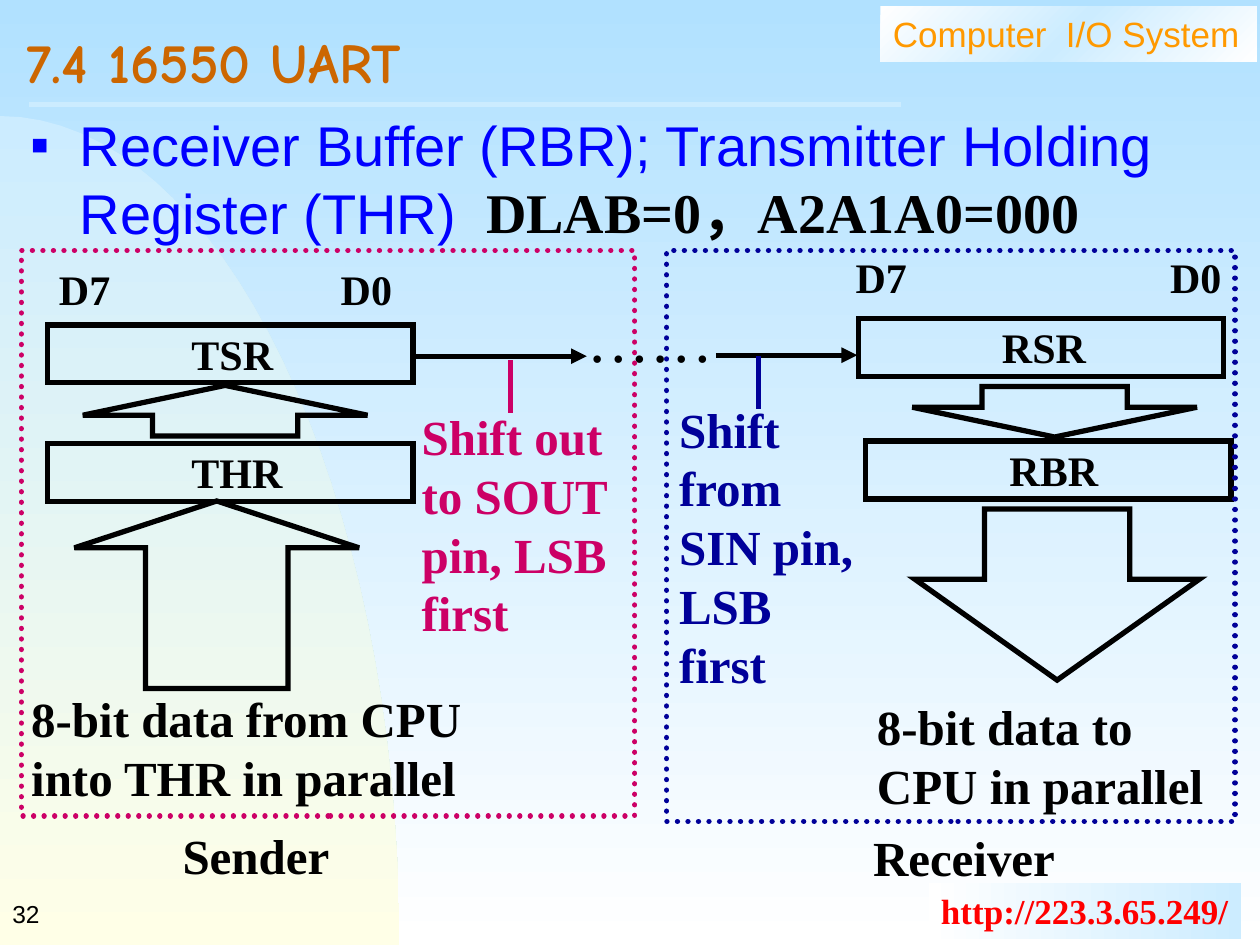
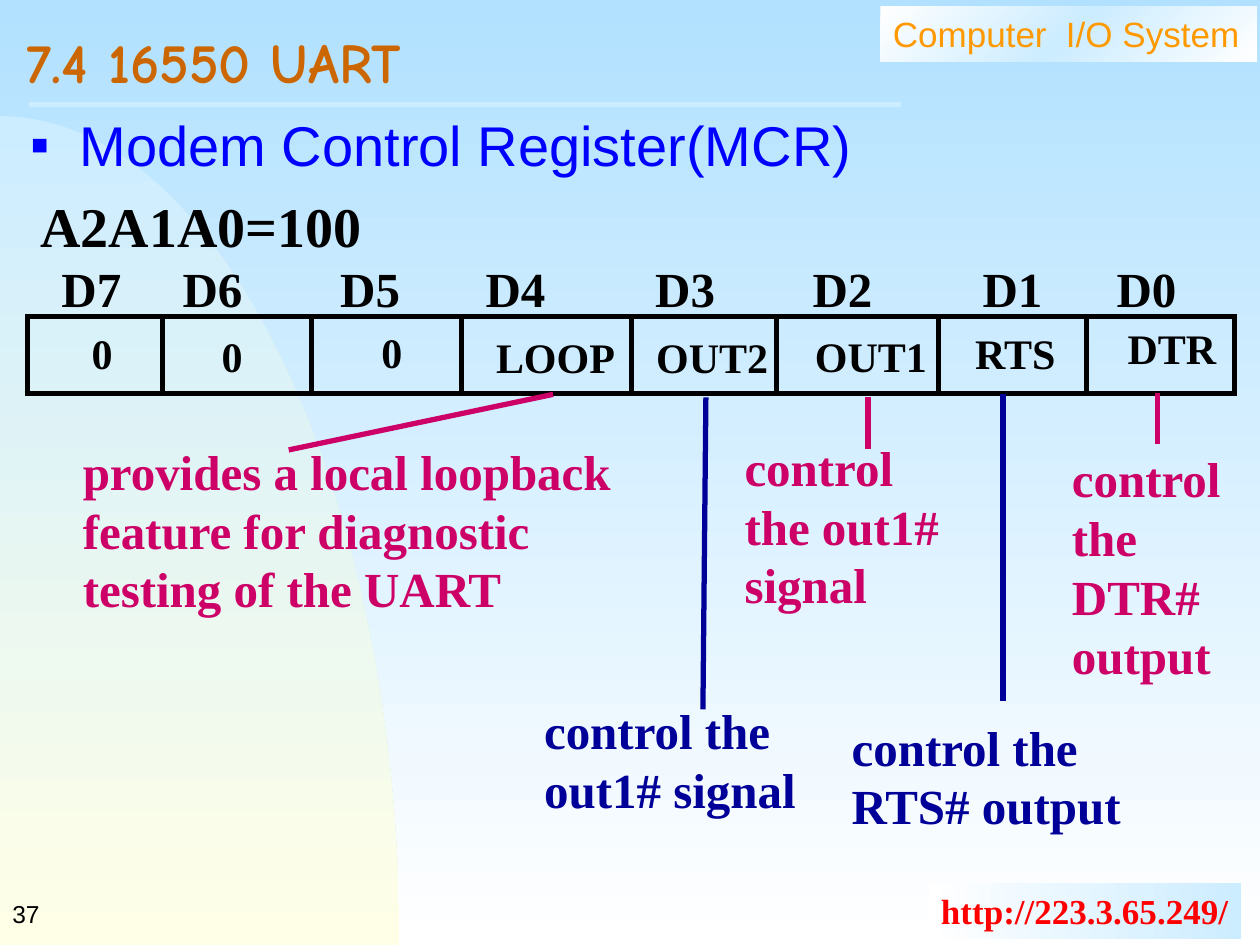
from copy import deepcopy
from dataclasses import dataclass
from typing import Any

from lxml.etree import SubElement
from pptx import Presentation
from pptx.dml.color import RGBColor
from pptx.enum.dml import MSO_LINE
from pptx.enum.shapes import MSO_CONNECTOR, MSO_SHAPE
from pptx.enum.text import MSO_ANCHOR, MSO_AUTO_SIZE, PP_ALIGN
from pptx.oxml.ns import qn
from pptx.util import Cm, Pt

BLACK = RGBColor(0x00, 0x00, 0x00)
WHITE = RGBColor(0xFF, 0xFF, 0xFF)
SKY = RGBColor(0xB1, 0xE1, 0xFF)
ICE = RGBColor(0xCC, 0xEC, 0xFF)
CREAM = RGBColor(0xFF, 0xFF, 0xE7)
RUST = RGBColor(0xCC, 0x66, 0x00)
ORANGE = RGBColor(0xFF, 0x99, 0x00)
RED = RGBColor(0xFF, 0x00, 0x00)
BLUE = RGBColor(0x00, 0x00, 0xFF)
PINK = RGBColor(0xCC, 0x00, 0x66)
NAVY = RGBColor(0x00, 0x00, 0x99)
SANS, SERIF, COMIC = "Arial", "Times New Roman", "Comic Neue"
WIDE, HIGH = 25.4, 19.05
SLIM, BROAD = (0.51, 0.59), (0.5, 0.25)


def blend(fill, angle, *colors):
    """Fill with a gradient that runs clockwise from the x axis."""
    fill.gradient()
    fill.gradient_angle = (360 - angle) % 360
    first = fill.gradient_stops[0]._gs
    for _ in colors[2:]:
        first.addnext(deepcopy(first))
    for i, (stop, color) in enumerate(zip(fill.gradient_stops, colors)):
        stop.color.rgb = color
        stop.position = i / (len(colors) - 1)


def write(shape, words, size, color=BLACK, face=SERIF, bold=True,
          wrap=True, tabs=(), anchor=MSO_ANCHOR.TOP):
    """Set the text of a shape, with tab stops in cm; return its paragraph."""
    frame = shape.text_frame
    frame.text = words
    frame.word_wrap = wrap
    frame.auto_size = MSO_AUTO_SIZE.NONE
    frame.vertical_anchor = anchor
    para = frame.paragraphs[0]
    if tabs:
        stops = SubElement(para._p.get_or_add_pPr(), qn("a:tabLst"))
        for tab in tabs:
            SubElement(stops, qn("a:tab"), pos=str(Cm(tab)), algn="l")
    para.alignment = PP_ALIGN.LEFT
    for run in para.runs:
        run.font.size = Pt(size)
        run.font.name = face
        run.font.bold = bold
        run.font.color.rgb = color
    return para


def move(shape, x, y, w, h):
    shape.left, shape.top, shape.width, shape.height = map(Cm, (x, y, w, h))


@dataclass
class Area:
    """A box on a slide; its parts are placed in cm from its top left."""
    slide: Any
    left: float
    top: float
    wide: float
    high: float

    def spot(self, x, y):
        return Cm(self.left + x), Cm(self.top + y)

    def text(self, words, x, y, w, h, size, color=BLACK, **style):
        box = self.slide.shapes.add_textbox(*self.spot(x, y), Cm(w), Cm(h))
        write(box, words, size, color, **style)

    def shape(self, kind, x, y, w, h, color=BLACK):
        part = self.slide.shapes.add_shape(kind, *self.spot(x, y), Cm(w), Cm(h))
        part.shadow.inherit = False
        part.fill.background()
        if color is None:
            part.line.fill.background()
        else:
            part.line.color.rgb = color
            part.line.width = Pt(3)
            SubElement(part.line._get_or_add_ln(), qn("a:miter"), lim="800000")
        return part

    def rule(self, x1, y1, x2, y2, color=BLACK, head=False):
        line = self.slide.shapes.add_connector(
            MSO_CONNECTOR.STRAIGHT, *self.spot(x1, y1), *self.spot(x2, y2))
        line.line.color.rgb = color
        line.line.width = Pt(3)
        if head:
            SubElement(line.line._get_or_add_ln(), qn("a:tailEnd"), type="triangle")
        SubElement(line._element.spPr, qn("a:effectLst"))

    def latch(self, name, x, y):
        """Draw a named 8-bit register."""
        self.shape(MSO_SHAPE.RECTANGLE, x, y, 7.37, 1.17)
        self.text(name, x + 2.65, y - 0.06, 2.3, 1.27, 24, wrap=False)

    def arrow(self, x, y, h, ratio, turn=0):
        part = self.shape(MSO_SHAPE.UP_ARROW, x, y, 5.74, h)
        part.adjustments[0], part.adjustments[1] = ratio
        part.rotation = turn

    def border(self, color):
        edge = self.shape(MSO_SHAPE.RECTANGLE, 0, 0, self.wide, self.high, color)
        edge.line.dash_style = MSO_LINE.ROUND_DOT
        edge.line._get_or_add_ln().set("cap", "rnd")


def leaf(page):
    """Draw the curved field at the lower left."""
    wide, top = 8.05, 2.34
    drop = HIGH - top
    points = []
    for i in range(1, 33):
        t = i / 32
        s = 1 - t
        across = 3 * s * s * t * 0.55 + 3 * s * t * t + t ** 3
        down = 3 * s * t * t * 0.45 + t ** 3
        points.append((Cm(across * wide), Cm(top + down * drop)))
    pen = page.slide.shapes.build_freeform(0, Cm(top))
    pen.add_line_segments(points + [(0, Cm(HIGH))], close=True)
    part = pen.convert_to_shape()
    part.shadow.inherit = False
    part.line.fill.background()
    blend(part.fill, 90, ICE, CREAM)


def bullet(para):
    props = para._p.get_or_add_pPr()
    props.set("marL", str(Cm(0.97)))
    props.set("indent", str(-Cm(0.97)))
    SubElement(SubElement(props, qn("a:buClr")), qn("a:srgbClr"), val=str(BLUE))
    SubElement(props, qn("a:buSzPct"), val="50000")
    SubElement(props, qn("a:buFont"), typeface=SANS)
    SubElement(props, qn("a:buChar"), char="■")
    para.space_before = Pt(0)


def start(deck, topic, number):
    """Add a slide with the shared bands, title, topic and number."""
    slide = deck.slides.add_slide(deck.slide_layouts[1])
    page = Area(slide, 0, 0, WIDE, HIGH)
    leaf(page)
    banner = page.shape(MSO_SHAPE.RECTANGLE, 17.75, 0.13, 7.59, 1.12, None)
    blend(banner.fill, 45, WHITE, ICE, WHITE)
    write(banner, "Computer\tI/O System", 20, ORANGE, SANS, False, tabs=[3.49])
    footer = page.shape(MSO_SHAPE.RECTANGLE, 18.72, 17.81, 6.3, 1.12, None)
    blend(footer.fill, 0, WHITE, ICE)
    write(footer, "http://223.3.65.249/", 20, RED, wrap=False)
    page.rule(0.58, 2.1, 18.16, 2.1, ICE)
    page.text(number, 0, 17.78, 5.28, 1.27, 14, face=SANS, bold=False,
              anchor=MSO_ANCHOR.MIDDLE)

    title, body = slide.placeholders
    move(title, 0.28, 0.41, 24.26, 1.96)
    para = write(title, "7.4 16550 UART", 32, RUST, COMIC, anchor=MSO_ANCHOR.MIDDLE)
    para.line_spacing = 0.7
    move(body, 0.38, 2.11, 24.38, 15.8)
    bullet(write(body, topic, 32, BLUE, SANS, False))
    for holder in (body, title):  # keep the bands behind, the diagram in front
        footer._element.addnext(holder._element)
    return page


def sender(area):
    area.text("D7\tD0", 0.51, 0.13, 7.6, 1.27, 24, tabs=[5.68])
    area.latch("TSR", 0.53, 1.5)
    area.arrow(1.24, 2.72, 1.02, SLIM)
    area.latch("THR", 0.53, 3.89)
    area.arrow(1.07, 5.05, 3.78, BROAD)
    area.text("8-bit data from CPU into THR in parallel", -0.05, 8.71, 9.7, 2.64, 28)
    area.rule(7.95, 2.13, 11.4, 2.13, head=True)
    area.text("……", 11.15, 0.86, 3.05, 1.78, 36, bold=False, wrap=False)
    area.rule(9.86, 2.21, 9.86, 3.28, PINK)
    area.text("Shift out to SOUT pin, LSB first", 7.82, 3.02, 4.6, 5, 28, PINK)
    area.border(PINK)
    area.text("Sender", 3, 11.46, 4.06, 1.45, 28)


def taker(area):
    """Draw the receiving side."""
    area.text("D7\tD0", 3.56, -0.1, 8.3, 1.27, 24, tabs=[6.34])
    area.rule(0.99, 2.11, 3.84, 2.11, head=True)
    area.latch("RSR", 3.86, 1.37)
    area.arrow(4.95, 2.74, 1.02, SLIM, 180)
    area.latch("RBR", 4.01, 3.84)
    area.arrow(5, 5.21, 3.45, SLIM, 180)
    area.text("8-bit data to CPU in parallel", 3.99, 8.86, 7.21, 2.64, 28)
    area.rule(1.85, 2.13, 1.85, 3.2, NAVY)
    area.text("Shift from SIN pin, LSB first", 0, 2.87, 4.2, 6.2, 28, NAVY)
    area.border(NAVY)
    area.text("Receiver", 3.91, 11.51, 4.67, 1.45, 28)


def bits(area):
    """Draw the register with its bit names."""
    heads = "\t".join(f"D{i}" for i in range(7, -1, -1))
    area.text(heads, 0.43, -1.3, 23.9, 1.45, 28,
              tabs=[2.44, 5.62, 8.55, 11.97, 15.14, 18.57, 21.27])
    area.shape(MSO_SHAPE.RECTANGLE, 0, 0, area.wide, area.high)
    for x in (2.72, 5.72, 8.74, 12.17, 15.09, 18.36, 21.34):
        area.rule(x, 0.04, x, 1.56)
    for name, x, y, w in (
            ("0", 1.04, 0.1, 0.91), ("0", 3.66, 0.15, 0.91),
            ("0", 6.88, 0.08, 0.91), ("LOOP", 9.19, 0.18, 2.9),
            ("OUT2", 12.42, 0.18, 2.77), ("OUT1", 15.62, 0.15, 2.77),
            ("RTS", 18.85, 0.1, 2.16), ("DTR", 21.92, 0, 2.29)):
        area.text(name, x, y, w, 1.27, 24, wrap=False)


def notes(area):
    """Explain the bits below the register, each with its leader line."""
    for words, place, line, color in (
            ("provides a local loopback feature for diagnostic testing of the UART",
             (0.86, 2.39, 11.18, 3.81), (10.59, 1.57, 5.26, 2.69), PINK),
            ("control the out1# signal",
             (10.16, 7.62, 6.2, 2.64), (13.67, 1.63, 13.61, 7.92), NAVY),
            ("control the out1# signal",
             (14.2, 2.31, 4.6, 3.81), (16.94, 1.63, 16.94, 2.67), PINK),
            ("control the RTS# output",
             (16.36, 7.95, 6.15, 2.64), (19.66, 1.57, 19.66, 7.75), NAVY),
            ("control the DTR# output",
             (20.8, 2.54, 3.99, 5), (22.78, 1.55, 22.78, 2.57), PINK)):
        area.rule(*line, color)
        area.text(words, *place, 28, color)


def main():
    deck = Presentation()
    deck.slide_width, deck.slide_height = Cm(WIDE), Cm(HIGH)
    blend(deck.slide_master.background.fill, 90, SKY, WHITE)

    page = start(deck, "Receiver Buffer (RBR); Transmitter Holding Register (THR)", "32")
    page.text("DLAB=0，A2A1A0=000", 9.55, 3.45, 13, 1.63, 32, wrap=False)
    sender(Area(page.slide, 0.43, 5.05, 12.37, 11.4))
    taker(Area(page.slide, 13.44, 5.05, 11.46, 11.51))

    page = start(deck, "Modem Control Register(MCR)", "37")
    page.text("A2A1A0=100", 0.56, 3.73, 7.26, 1.63, 32, wrap=False)
    area = Area(page.slide, 0.56, 6.38, 24.33, 1.55)
    bits(area)
    notes(area)
    deck.save("out.pptx")


if __name__ == "__main__":
    main()
